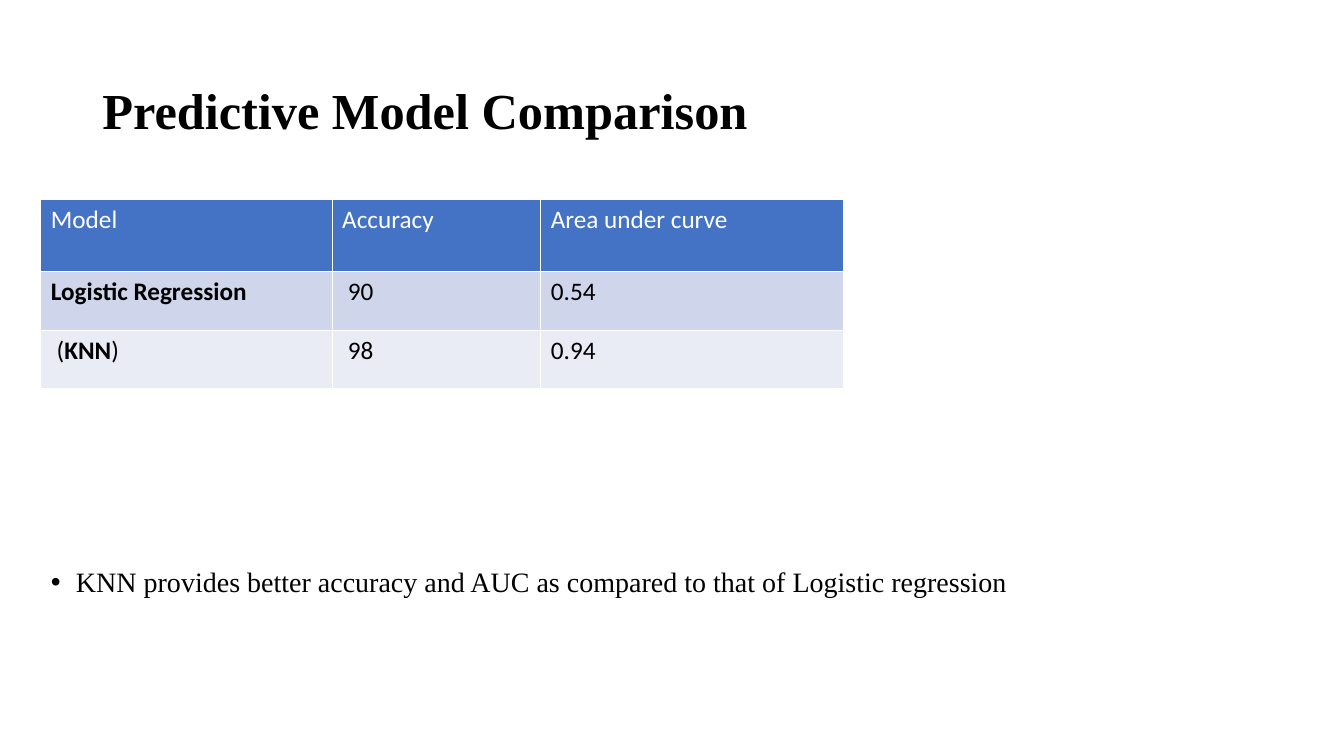
from lxml import etree
from pptx import Presentation
from pptx.dml.color import RGBColor
from pptx.enum.text import MSO_ANCHOR
from pptx.oxml.ns import qn
from pptx.util import Cm, Pt

MIDDLE, TOP = MSO_ANCHOR.MIDDLE, MSO_ANCHOR.TOP

BLACK = RGBColor(0x00, 0x00, 0x00)
WHITE = RGBColor(0xFF, 0xFF, 0xFF)
HEADER_BLUE = RGBColor(0x44, 0x72, 0xC4)
BAND_FILLS = (RGBColor(0xCF, 0xD5, 0xEA), RGBColor(0xE9, 0xEB, 0xF5))

SERIF, SANS = "Times New Roman", "Calibri"

COLUMN_WIDTHS = (Cm(7.34), Cm(5.26), Cm(7.62))
ROW_HEIGHTS = (Cm(1.83), Cm(1.47), Cm(1.47))
MODEL_ROWS = (
    (("Model", False),), (("Accuracy", False),), (("Area under curve", False),),
), (
    (("Logistic Regression", True),), ((" 90", False),), (("0.54", False),),
), (
    ((" (", False), ("KNN", True), (")", False)), ((" 98", False),), (("0.94", False),),
)


def add_run(paragraph, text, font, size, color, bold=False):
    """Append one formatted run to a paragraph."""
    run = paragraph.add_run()
    run.text = text
    run.font.name = font
    run.font.size = Pt(size)
    run.font.color.rgb = color
    run.font.bold = bold


def add_text_region(slide, left, top, width, height, anchor):
    """Add a wrapping text box and return its first paragraph."""
    frame = slide.shapes.add_textbox(left, top, width, height).text_frame
    frame.word_wrap = True
    frame.vertical_anchor = anchor
    paragraph = frame.paragraphs[0]
    paragraph.line_spacing = 0.9
    return paragraph


def add_title(slide, left, top, width, height):
    """Place the slide heading, centred vertically in its box."""
    heading = add_text_region(slide, left, top, width, height, MIDDLE)
    add_run(heading, "Predictive Model Comparison", SERIF, 36, BLACK, bold=True)


def add_conclusion(slide, left, top, width, height):
    """Place the bulleted conclusion at the top of its box."""
    conclusion = add_text_region(slide, left, top, width, height, TOP)
    conclusion.space_before = Pt(10)
    add_run(
        conclusion,
        "KNN provides better accuracy and AUC as compared to that of Logistic regression",
        SERIF, 20, BLACK,
    )
    properties = conclusion._p.get_or_add_pPr()
    properties.set("marL", str(Cm(0.635)))
    properties.set("indent", str(-Cm(0.635)))
    etree.SubElement(properties, qn("a:buFont")).set("typeface", "Arial")
    etree.SubElement(properties, qn("a:buChar")).set("char", "•")


def add_model_table(slide, left, top):
    """Place the table of model scores with its top left corner as given."""
    scores = slide.shapes.add_table(
        len(ROW_HEIGHTS), len(COLUMN_WIDTHS), left, top,
        sum(COLUMN_WIDTHS), sum(ROW_HEIGHTS),
    ).table
    for column, width in zip(scores.columns, COLUMN_WIDTHS):
        column.width = width
    for row_index, (row, height, entries) in enumerate(
        zip(scores.rows, ROW_HEIGHTS, MODEL_ROWS)
    ):
        row.height = height
        is_header = row_index == 0
        fill = HEADER_BLUE if is_header else BAND_FILLS[(row_index - 1) % 2]
        for cell, pieces in zip(row.cells, entries):
            cell.fill.solid()
            cell.fill.fore_color.rgb = fill
            for text, bold in pieces:
                add_run(cell.text_frame.paragraphs[0], text, SANS, 18,
                        WHITE if is_header else BLACK, bold)


def main():
    """Build the model comparison slide and save it."""
    presentation = Presentation()
    presentation.slide_width = Cm(33.87)
    presentation.slide_height = Cm(19.05)
    slide = presentation.slides.add_slide(presentation.slide_layouts[6])
    add_title(slide, Cm(2.33), Cm(1.01), Cm(29.21), Cm(3.68))
    add_conclusion(slide, Cm(1.03), Cm(14.2), Cm(29.62), Cm(3.76))
    add_model_table(slide, Cm(1.03), Cm(5.02))
    presentation.save("out.pptx")


if __name__ == "__main__":
    main()
